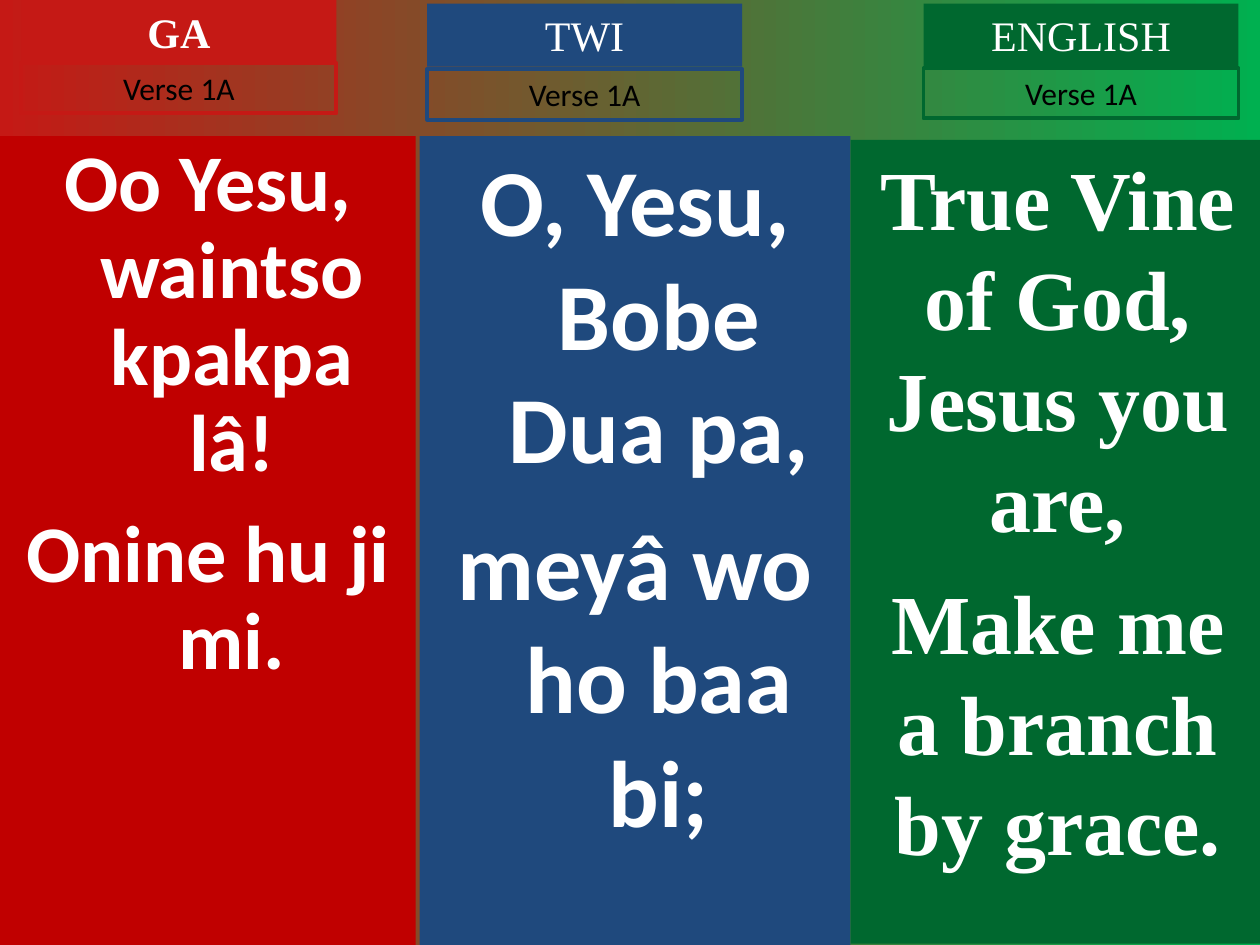
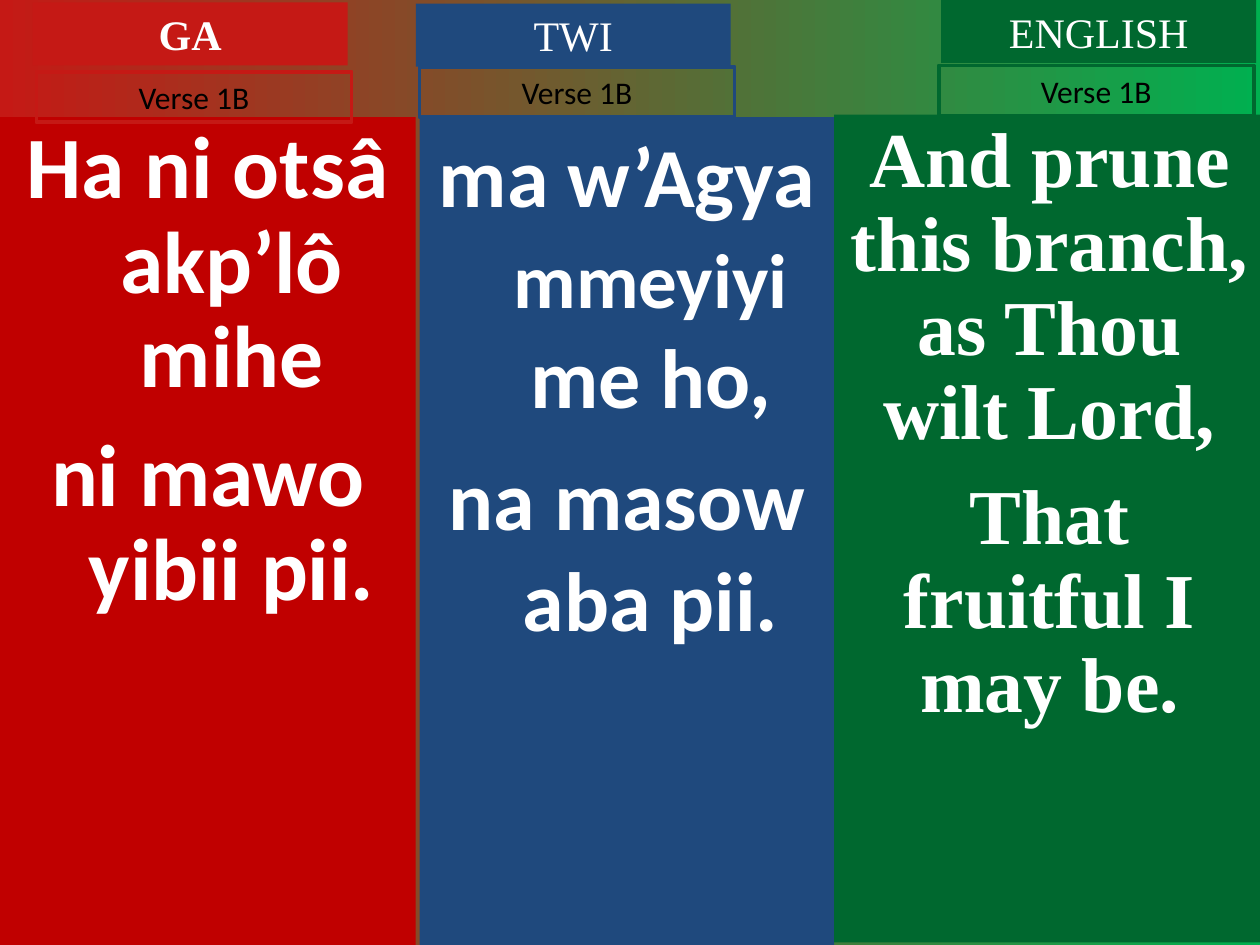
import pptx
import pptx.dml.color
import pptx.enum.shapes
import pptx.enum.text
import pptx.util

UNIT = pptx.util.Inches(0.1)
SLIDE_COLUMNS, SLIDE_ROWS = 100, 75
TAG_WIDTH, TAG_HEIGHT, VERSE_HEIGHT = 25, 5, 4
INSETS = {"margin_left": UNIT, "margin_right": UNIT, "margin_top": UNIT // 2, "margin_bottom": UNIT // 2}
WHITE, BLACK = "FFFFFF", "000000"
SANS, SERIF = "Calibri", "Times New Roman"
HANGING = pptx.util.Inches(0.38)

LANGUAGES = {
    "GA": {"panel": "C00000", "accent": "C51915", "font": SANS, "bold_tag": True, "hanging": True},
    "TWI": {"panel": "1F497D", "accent": "1F497D", "font": SANS, "bold_tag": False, "hanging": True},
    "ENGLISH": {"panel": "00682F", "accent": "00682F", "font": SERIF, "bold_tag": False, "hanging": False},
}

VERSES = {
    "Verse 1A": {
        "GA": {
            "box": (0, 10.8, 33, 64.2), "tag": (1.7, 0), "verse": (1.7, 5),
            "size": 45.9, "spacing": 0.9, "gap": 13.5,
            "lines": ["Oo Yesu, waintso kpakpa lâ!", "Onine hu ji mi."],
        },
        "TWI": {
            "box": (33.3, 10.8, 34.2, 64.2), "tag": (0.6, 0.3), "verse": (0.6, 5.5),
            "size": 54, "spacing": 1.0, "gap": 13.5,
            "lines": ["O, Yesu, Bobe Dua pa,", "meyâ wo ho baa bi;"],
        },
        "ENGLISH": {
            "box": (67.5, 11.1, 32.9, 63.8), "tag": (5.8, 0.3), "verse": (5.8, 5.4),
            "size": 48, "spacing": 1.0, "gap": 12,
            "lines": ["True Vine of God, Jesus you are,", "Make me a branch by grace."],
        },
    },
    "Verse 1B": {
        "GA": {
            "box": (0, 9.3, 33, 65.7), "tag": (2.6, 0.2), "verse": (2.9, 5.7),
            "size": 50, "spacing": 0.9, "gap": 13.5,
            "lines": ["Ha ni otsâ akp’lô mihe", "ni mawo yibii pii."],
        },
        "TWI": {
            "box": (33.3, 9.3, 32.9, 65.7), "tag": (-0.3, 0.3), "verse": (0, 5.3),
            "size": 48, "spacing": 1.0, "gap": 12,
            "lines": [[("ma w’Agya ", 48), ("mmeyiyi", 44), (" me ho,", 48)], "na masow aba pii."],
        },
        "ENGLISH": {
            "box": (66.2, 9.1, 34.2, 65.7), "tag": (8.5, 0), "verse": (8.3, 5.2),
            "size": 44.4, "spacing": 0.9, "gap": 12,
            "lines": ["And prune this branch, as Thou wilt Lord,", "That fruitful I may be."],
        },
    },
}


def rgb(value):
    """Turn a hex string into a colour."""
    return pptx.dml.color.RGBColor.from_string(value)


def set_values(target, values):
    """Set each named attribute of the target."""
    for name, value in values.items():
        setattr(target, name, value)


def add_box(slide, box, fill=None, line=None):
    """Add a rectangle with top-anchored text, given in grid units."""
    shape = slide.shapes.add_shape(
        pptx.enum.shapes.MSO_SHAPE.RECTANGLE, *(round(length * UNIT) for length in box))
    shape.shadow.inherit = False
    if fill:
        shape.fill.solid()
        shape.fill.fore_color.rgb = rgb(fill)
    else:
        shape.fill.background()
    if line:
        shape.line.color.rgb = rgb(line)
        shape.line.width = pptx.util.Pt(2.25)
    else:
        shape.line.fill.background()
    set_values(shape.text_frame, {
        "word_wrap": True, "vertical_anchor": pptx.enum.text.MSO_ANCHOR.TOP, **INSETS})
    return shape


def write_paragraph(paragraph, pieces, font, color, bold):
    """Write centred runs given as pairs of text and size."""
    paragraph.alignment = pptx.enum.text.PP_ALIGN.CENTER
    for text, size in pieces:
        run = paragraph.add_run()
        run.text = text
        set_values(run.font, {"name": font, "size": pptx.util.Pt(size), "bold": bold})
        run.font.color.rgb = rgb(color)


def add_label(slide, box, text, size, font, color, bold=False, **paint):
    """Add a one-line label that grows with its text."""
    frame = add_box(slide, box, **paint).text_frame
    frame.auto_size = pptx.enum.text.MSO_AUTO_SIZE.SHAPE_TO_FIT_TEXT
    write_paragraph(frame.paragraphs[0], [(text, size)], font, color, bold)


def add_lyrics(slide, column, language):
    """Fill a coloured panel with the lines of a verse."""
    frame = add_box(slide, column["box"], fill=language["panel"]).text_frame
    for index, line in enumerate(column["lines"]):
        paragraph = frame.add_paragraph() if index else frame.paragraphs[0]
        paragraph.line_spacing = column["spacing"]
        paragraph.space_before = pptx.util.Pt(column["gap"] if index else 0)
        if language["hanging"]:
            properties = paragraph._p.get_or_add_pPr()
            properties.set("marL", str(HANGING))
            properties.set("indent", str(-HANGING))
        pieces = [(line, column["size"])] if isinstance(line, str) else line
        write_paragraph(paragraph, pieces, language["font"], WHITE, True)


def add_language_column(slide, name, verse, column):
    """Add the lyrics, language tag and verse label of one column."""
    language = LANGUAGES[name]
    left = column["box"][0]
    tag_left, tag_top = column["tag"]
    verse_left, verse_top = column["verse"]
    add_lyrics(slide, column, language)
    add_label(slide, (left + tag_left, tag_top, TAG_WIDTH, TAG_HEIGHT), name,
              24, SERIF, WHITE, language["bold_tag"], fill=language["accent"])
    add_label(slide, (left + verse_left, verse_top, TAG_WIDTH, VERSE_HEIGHT), verse,
              18, SANS, BLACK, line=language["accent"])


def add_verse_slide(presentation, verse, columns):
    """Add a slide showing a verse in every language."""
    slide = presentation.slides.add_slide(presentation.slide_layouts[6])
    fill = slide.background.fill
    fill.gradient()
    fill.gradient_angle = 0
    for stop, color in zip(fill.gradient_stops, ("C51915", "00B050")):
        stop.color.rgb = rgb(color)
    for name, column in columns.items():
        add_language_column(slide, name, verse, column)


def main():
    """Build and save the hymn slides."""
    presentation = pptx.Presentation()
    presentation.slide_width = SLIDE_COLUMNS * UNIT
    presentation.slide_height = SLIDE_ROWS * UNIT
    for verse, columns in VERSES.items():
        add_verse_slide(presentation, verse, columns)
    presentation.save("out.pptx")


if __name__ == "__main__":
    main()
